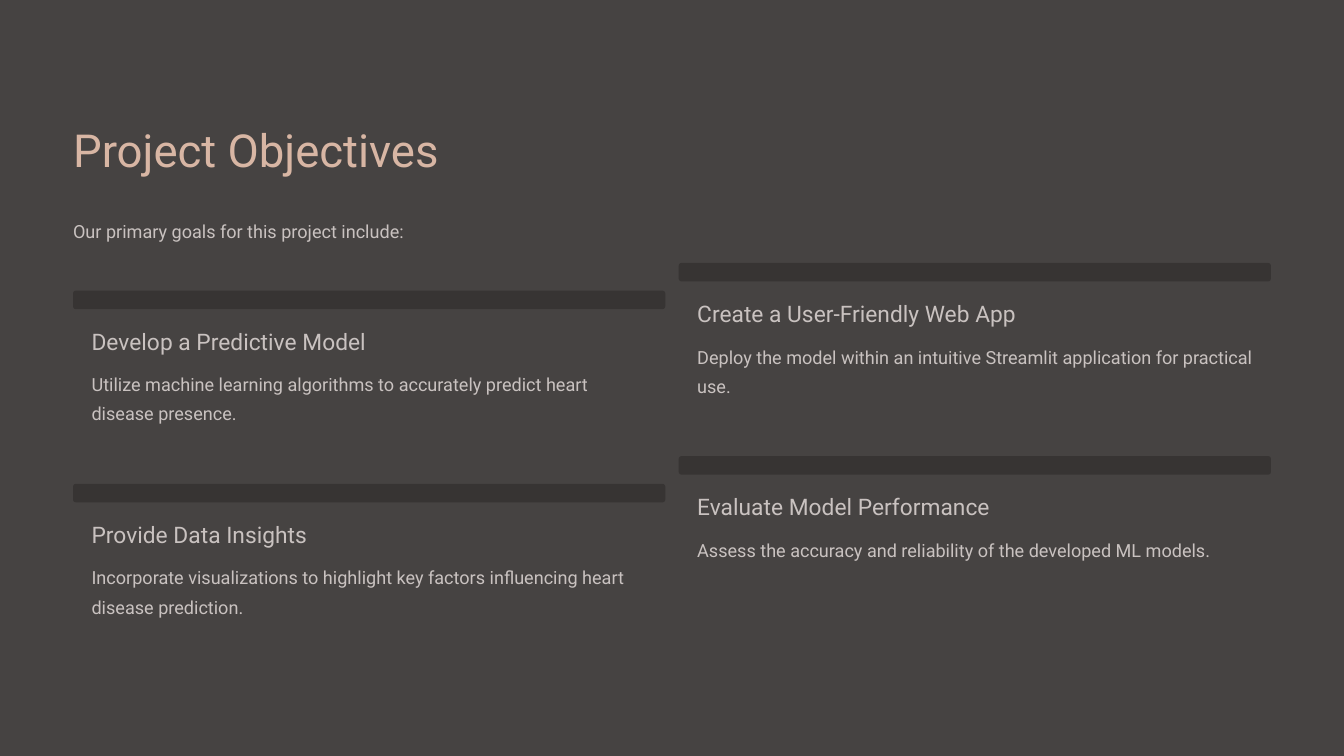
"""Build the Project Objectives slide with four staggered goals."""
from dataclasses import dataclass

from pptx import Presentation
from pptx.dml.color import RGBColor
from pptx.enum.shapes import MSO_SHAPE
from pptx.enum.text import MSO_ANCHOR, MSO_AUTO_SIZE, PP_ALIGN
from pptx.util import Inches, Pt

ROUNDED = MSO_SHAPE.ROUNDED_RECTANGLE
TOP = MSO_ANCHOR.TOP
LEFT = PP_ALIGN.LEFT
NO_FIT = MSO_AUTO_SIZE.NONE

TITLE = "Project Objectives"
INTRO = "Our primary goals for this project include:"
COLUMNS = [
    [
        ("Develop a Predictive Model",
         "Utilize machine learning algorithms to accurately predict heart disease presence."),
        ("Provide Data Insights",
         "Incorporate visualizations to highlight key factors influencing heart disease prediction."),
    ],
    [
        ("Create a User-Friendly Web App",
         "Deploy the model within an intuitive Streamlit application for practical use."),
        ("Evaluate Model Performance",
         "Assess the accuracy and reliability of the developed ML models."),
    ],
]


@dataclass(frozen=True)
class TextStyle:
    """Size, line spacing and colour of one kind of text."""
    size: float
    leading: float
    color: str


@dataclass(frozen=True)
class Theme:
    """Colours and type of the slide."""
    font: str = "Roboto"
    background: str = "464342"
    bar: str = "373433"
    title: TextStyle = TextStyle(39, 48.5, "D8B6A4")
    heading: TextStyle = TextStyle(19.5, 24, "C9C2C0")
    body: TextStyle = TextStyle(15.5, 25, "C9C2C0")


THEME = Theme()
MARGIN = 0.87
COLUMN_TOPS = (3.46, 3.13)
COLUMN_PITCH = 7.21
ROW_PITCH = 2.3
BAR_WIDTH, BAR_HEIGHT = 7.05, 0.22
INSET = 0.22
TEXT_WIDTH = 6.62


def paint(fill, color):
    """Apply a solid colour to a fill."""
    fill.solid()
    fill.fore_color.rgb = RGBColor.from_string(color)


def write(box, text, style):
    """Fill a box with one left-aligned paragraph."""
    frame = box.text_frame
    frame.margin_left = frame.margin_top = frame.margin_right = frame.margin_bottom = 0
    frame.word_wrap = True
    frame.auto_size = NO_FIT
    frame.vertical_anchor = TOP
    frame.text = text
    para = frame.paragraphs[0]
    para.alignment = LEFT
    para.space_before = Pt(0)
    para.line_spacing = Pt(style.leading)
    para.font.name = THEME.font
    para.font.size = Pt(style.size)
    para.font.color.rgb = RGBColor.from_string(style.color)


def add_text(page, text, style, left, top, width, height):
    """Add a text box measured in inches."""
    box = page.shapes.add_textbox(Inches(left), Inches(top), Inches(width), Inches(height))
    write(box, text, style)


def add_goal(page, heading, detail, left, top):
    """Add a bar with its heading and detail below."""
    bar = page.shapes.add_shape(
        ROUNDED, Inches(left), Inches(top), Inches(BAR_WIDTH), Inches(BAR_HEIGHT))
    bar.adjustments[0] = 0.15
    bar.shadow.inherit = False
    bar.line.fill.background()
    paint(bar.fill, THEME.bar)
    add_text(page, heading, THEME.heading, left + INSET, top + 0.43, TEXT_WIDTH, 0.34)
    add_text(page, detail, THEME.body, left + INSET, top + 0.9, TEXT_WIDTH, 0.69)


def main():
    """Create and save the deck."""
    deck = Presentation()
    deck.slide_width, deck.slide_height = Inches(16), Inches(9)
    page = deck.slides.add_slide(deck.slide_layouts[5])
    paint(page.background.fill, THEME.background)

    title = page.shapes.title
    title.left, title.top = Inches(MARGIN), Inches(1.43)
    title.width, title.height = Inches(5.43), Inches(0.68)
    write(title, TITLE, THEME.title)
    add_text(page, INTRO, THEME.body, MARGIN, 2.54, 14.26, 0.35)

    for column, (goals, first_top) in enumerate(zip(COLUMNS, COLUMN_TOPS)):
        for row, (heading, detail) in enumerate(goals):
            add_goal(page, heading, detail,
                     MARGIN + column * COLUMN_PITCH, first_top + row * ROW_PITCH)
    deck.save("out.pptx")


if __name__ == "__main__":
    main()
